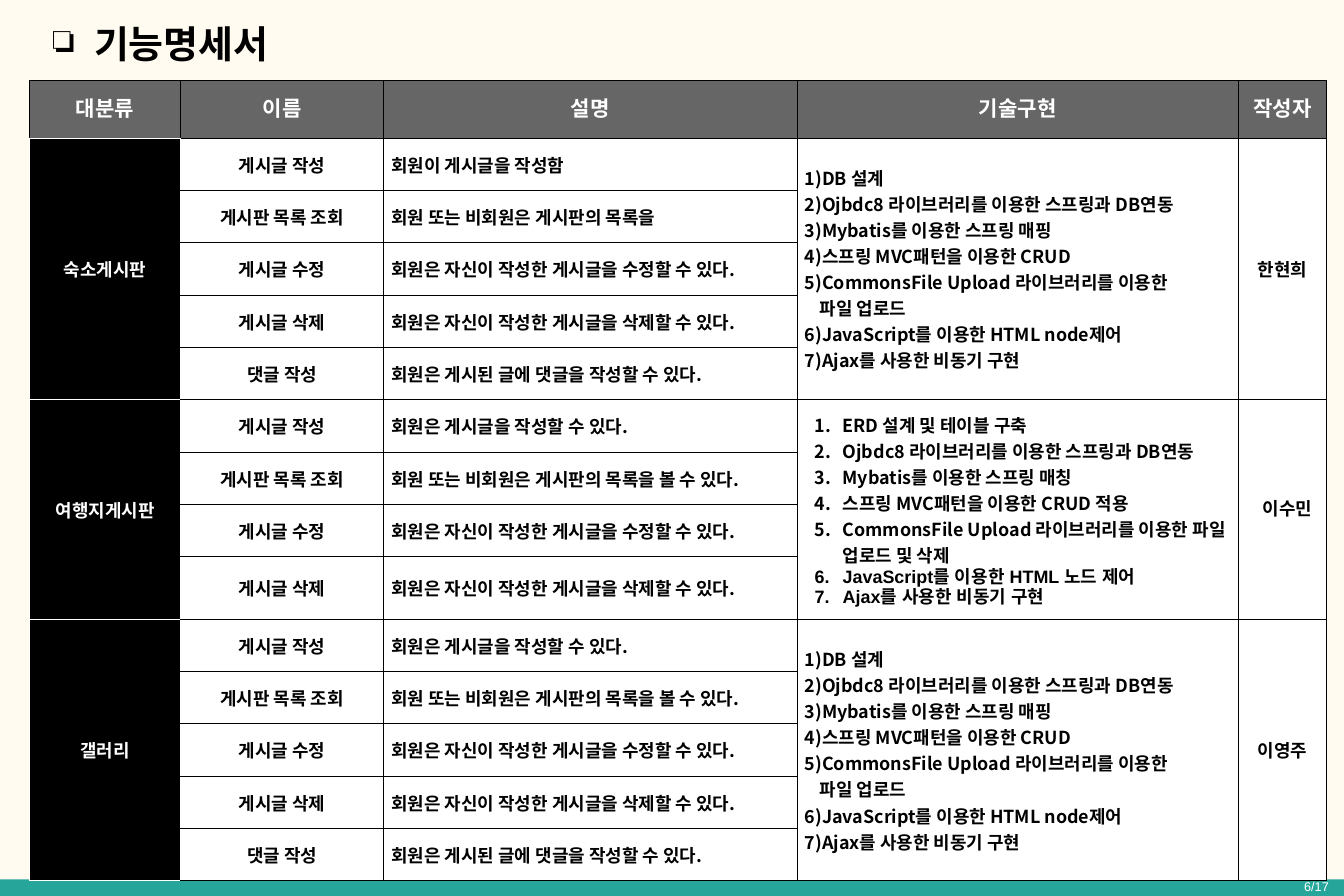
from dataclasses import dataclass

from lxml import etree
from pptx import Presentation
from pptx import util as u
from pptx.dml import color
from pptx.enum import shapes, text
from pptx.oxml import ns

PX = 9144


@dataclass(frozen=True)
class Theme:
    cream: str = "FFFBF0"
    teal: str = "26A69A"
    gray: str = "666666"
    black: str = "000000"
    white: str = "FFFFFF"
    latin: str = "Arial"
    korean: str = "Noto Sans CJK KR"
    title: int = 36
    header: int = 20
    body: int = 17
    page: int = 12
    border: float = 0.75


T = Theme()
CENTER, RIGHT = text.PP_ALIGN.CENTER, text.PP_ALIGN.RIGHT
COLUMNS = [("대분류", 199), ("이름", 268), ("설명", 545), ("기술구현", 582), ("작성자", 116)]
HEADER_HEIGHT, ROW_HEIGHT, TALL_ROW = 76, 69, 73

LIST_ALL = "회원 또는 비회원은 게시판의 목록을 볼 수 있다."
CREATE = ("게시글 작성", "회원은 게시글을 작성할 수 있다.")
BROWSE = ("게시판 목록 조회", LIST_ALL)
EDIT = ("게시글 수정", "회원은 자신이 작성한 게시글을 수정할 수 있다.")
DELETE = ("게시글 삭제", "회원은 자신이 작성한 게시글을 삭제할 수 있다.")
COMMENT = ("댓글 작성", "회원은 게시된 글에 댓글을 작성할 수 있다.")

BOARD_STACK = [
    dict(words="1)DB 설계"),
    dict(words="2)Ojbdc8 라이브러리를 이용한 스프링과 DB연동"),
    dict(words="3)Mybatis를 이용한 스프링 매핑"),
    dict(words="4)스프링 MVC패턴을 이용한 CRUD"),
    dict(words="5)CommonsFile Upload 라이브러리를 이용한"),
    dict(words="파일 업로드", margin=20),
    dict(words="6)JavaScript를 이용한 HTML node제어"),
    dict(words="7)Ajax를 사용한 비동기 구현"),
]
NUMBERED = dict(margin=50, indent=-37, bullet=("a:buAutoNum", "type", "arabicPeriod"))
TRAVEL_STACK = [
    dict(words=words, font=font, **NUMBERED)
    for words, font in [
        ("ERD 설계 및 테이블 구축", T.korean),
        ("Ojbdc8 라이브러리를 이용한 스프링과 DB연동", T.korean),
        ("Mybatis를 이용한 스프링 매칭", T.korean),
        ("스프링 MVC패턴을 이용한 CRUD 적용", T.korean),
        ("CommonsFile Upload 라이브러리를 이용한 파일 업로드 및 삭제", T.korean),
        ("JavaScript를 이용한 HTML 노드 제어", T.latin),
        ("Ajax를 사용한 비동기 구현", T.latin),
    ]
]
BOARDS = [
    ("숙소게시판",
     [("게시글 작성", "회원이 게시글을 작성함"),
      ("게시판 목록 조회", "회원 또는 비회원은 게시판의 목록을"), EDIT, DELETE, COMMENT],
     BOARD_STACK, dict(words="한현희")),
    ("여행지게시판", [CREATE, BROWSE, EDIT, DELETE],
     TRAVEL_STACK, dict(words="이수민", font=T.latin, margin=13)),
    ("갤러리", [CREATE, BROWSE, EDIT, DELETE, COMMENT],
     BOARD_STACK, dict(words="이영주")),
]


def px(*lengths):
    return [u.Emu(length * PX) for length in lengths]


def rgb(value):
    return color.RGBColor.from_string(value)


def paint(part, value):
    part.fill.solid()
    part.fill.fore_color.rgb = rgb(value)


def add_child(parent, tag, **attributes):
    return etree.SubElement(parent, ns.qn(tag), attributes)


def write_line(line, words, size=T.body, font=T.korean, ink=T.black, bold=True,
               align=None, margin=0, indent=0, bullet=None):
    layout = line._p.get_or_add_pPr()
    layout.set("marL", str(margin * PX))
    layout.set("indent", str(indent * PX))
    if bullet:
        tag, key, value = bullet
        add_child(add_child(layout, "a:buClr"), "a:srgbClr", val=ink)
        add_child(layout, tag, **{key: value})
    if align is not None:
        line.alignment = align
    run = line.add_run()
    run.text = words
    run.font.size = u.Pt(size)
    run.font.bold = bold
    run.font.color.rgb = rgb(ink)
    run.font.name = font
    add_child(run._r.get_or_add_rPr(), "a:ea", typeface=font)


def write_lines(frame, lines, **style):
    for number, line in enumerate(lines):
        target = frame.add_paragraph() if number else frame.paragraphs[0]
        write_line(target, **{**style, **line})


def add_label(slide, box, anchor, **line):
    frame = slide.shapes.add_textbox(*px(*box)).text_frame
    frame.word_wrap = True
    frame.vertical_anchor = anchor
    frame.margin_left, frame.margin_top, frame.margin_right, frame.margin_bottom = px(*[12] * 4)
    write_lines(frame, [line])


def draw_borders(cell, **sides):
    properties = cell._tc.get_or_add_tcPr()
    for place, side in enumerate("LRTB"):
        edge = etree.Element(ns.qn("a:ln" + side), w=str(u.Pt(T.border)))
        fill = add_child(edge, "a:solidFill")
        add_child(fill, "a:srgbClr", val=sides.get(side, T.black))
        properties.insert(place, edge)


def style_cell(cell, fill, **sides):
    paint(cell, fill)
    cell.vertical_anchor = text.MSO_ANCHOR.MIDDLE
    cell.margin_left, cell.margin_top, cell.margin_right, cell.margin_bottom = px(10, 15, 10, 15)
    draw_borders(cell, **sides)


def add_header(table):
    for column, (heading, width) in enumerate(COLUMNS):
        table.columns[column].width = u.Emu(width * PX)
        cell = table.cell(0, column)
        style_cell(cell, T.gray, B=T.black if column else T.white)
        write_lines(cell.text_frame, [dict(words=heading)], size=T.header,
                    font=T.latin, ink=T.white, align=CENTER)


def add_board(table, top, category, features, stack, author):
    bottom = top + len(features) - 1
    for row, (name, description) in enumerate(features, top):
        style_cell(table.cell(row, 0), T.black, **dict.fromkeys("LRTB", T.white))
        style_cell(table.cell(row, 1), T.white, L=T.white)
        for column in (2, 3, 4):
            style_cell(table.cell(row, column), T.white)
        write_lines(table.cell(row, 1).text_frame, [dict(words=name)], align=CENTER)
        write_lines(table.cell(row, 2).text_frame, [dict(words=description)])
    for column in (0, 3, 4):
        table.cell(top, column).merge(table.cell(bottom, column))
    write_lines(table.cell(top, 0).text_frame, [dict(words=category)], ink=T.white, align=CENTER)
    write_lines(table.cell(top, 3).text_frame, stack)
    write_lines(table.cell(top, 4).text_frame, [author], align=CENTER)


def add_feature_table(slide):
    heights = [HEADER_HEIGHT]
    for _, features, stack, _ in BOARDS:
        last = TALL_ROW if stack is TRAVEL_STACK else ROW_HEIGHT
        heights += [ROW_HEIGHT] * (len(features) - 1) + [last]
    width = sum(width for _, width in COLUMNS)
    table = slide.shapes.add_table(len(heights), len(COLUMNS),
                                   *px(39, 106, width, sum(heights))).table
    table.first_row = table.horz_banding = False
    for row, height in zip(table.rows, heights):
        row.height = u.Emu(height * PX)
    add_header(table)
    top = 1
    for category, features, stack, author in BOARDS:
        add_board(table, top, category, features, stack, author)
        top += len(features)


def add_band(slide):
    band = slide.shapes.add_shape(shapes.MSO_SHAPE.RECTANGLE, *px(0, 1159, 1772, 22))
    band.shadow.inherit = False
    paint(band, T.teal)
    band.line.fill.background()


def main():
    deck = Presentation()
    deck.slide_width, deck.slide_height = px(1772, 1181)
    slide = deck.slides.add_slide(deck.slide_layouts[6])
    paint(slide.background, T.cream)
    add_band(slide)
    add_feature_table(slide)
    add_label(slide, (52, 15, 1651, 90), text.MSO_ANCHOR.TOP, words="기능명세서",
              size=T.title, font=T.latin, margin=60, indent=-54,
              bullet=("a:buChar", "char", "❏"))
    add_label(slide, (1676, 1146, 88, 45), text.MSO_ANCHOR.MIDDLE, words="6/17",
              size=T.page, font=T.latin, ink=T.white, bold=False, align=RIGHT)
    deck.save("out.pptx")


if __name__ == "__main__":
    main()
